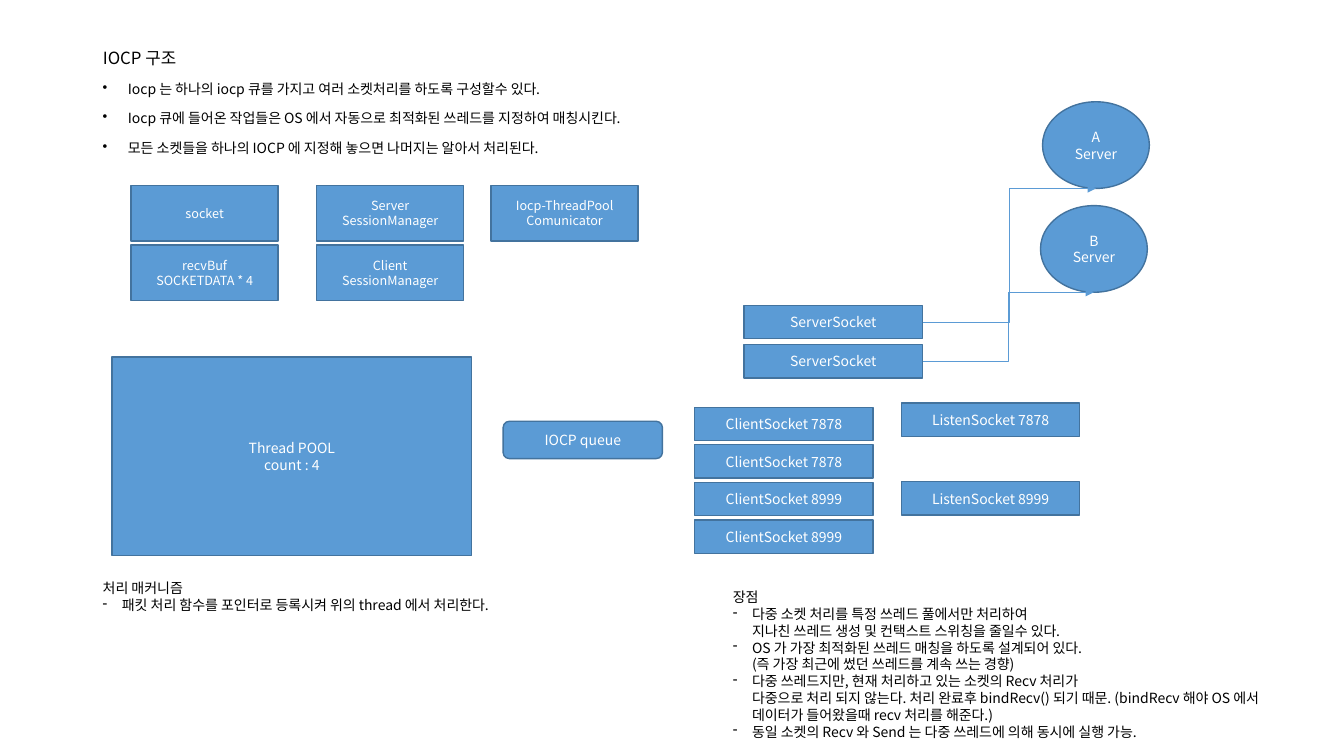
from pptx import Presentation
from pptx import util as u
from pptx.dml.color import RGBColor
from pptx.enum import shapes, text
from pptx.oxml.ns import qn
from lxml import etree

FONT = "Noto Sans CJK KR"
BLUE = RGBColor(0x5B, 0x9B, 0xD5)
BORDER = RGBColor(0x43, 0x73, 0x9E)
WHITE = RGBColor(0xFF, 0xFF, 0xFF)
BLACK = RGBColor(0, 0, 0)
RECT = shapes.MSO_SHAPE.RECTANGLE
OVAL = shapes.MSO_SHAPE.OVAL
ROUNDED = shapes.MSO_SHAPE.ROUNDED_RECTANGLE
RIGHT_SITE, OVAL_LEFT_SITE = 3, 2

SUMMARY = [
    "Iocp 는 하나의 iocp 큐를 가지고 여러 소켓처리를 하도록 구성할수 있다.",
    "Iocp 큐에 들어온 작업들은 OS 에서 자동으로 최적화된 쓰레드를 지정하여 매칭시킨다.",
    "모든 소켓들을 하나의 IOCP 에 지정해 놓으면 나머지는 알아서 처리된다.",
]
ADVANTAGES = [
    "다중 소켓 처리를 특정 쓰레드 풀에서만 처리하여\v지나친 쓰레드 생성 및 컨택스트 스위칭을 줄일수 있다.",
    "OS 가 가장 최적화된 쓰레드 매칭을 하도록 설계되어 있다. \v(즉 가장 최근에 썼던 쓰레드를 계속 쓰는 경향)",
    "다중 쓰레드지만, 현재 처리하고 있는 소켓의 Recv 처리가\v다중으로 처리 되지 않는다. 처리 완료후 bindRecv() 되기 때문. "
    "(bindRecv 해야 OS 에서 데이터가 들어왔을때 recv 처리를 해준다.)",
    "동일 소켓의 Recv 와 Send 는 다중 쓰레드에 의해 동시에 실행 가능.",
]
MECHANISM = ["패킷 처리 함수를 포인터로 등록시켜 위의 thread 에서 처리한다."]
MODULES = [
    (1.3, ["socket", "recvBuf\vSOCKETDATA * 4"]),
    (3.14, ["Server\vSessionManager", "Client\vSessionManager"]),
    (4.87, ["Iocp-ThreadPool\vComunicator"]),
]


def inches(*lengths):
    return [u.Inches(length) for length in lengths]


def style(para, size, color):
    para.font.name = FONT
    para.font.size = u.Pt(size)
    para.font.color.rgb = color
    latin = para.font._element.find(qn("a:latin"))
    east_asian = etree.Element(qn("a:ea"), typeface=FONT)
    latin.addnext(east_asian)


def add_bullet(para, mark, indent):
    properties = para._p.get_or_add_pPr()
    properties.set("marL", str(u.Inches(indent)))
    properties.set("indent", str(-u.Inches(indent)))
    bullet = etree.Element(qn("a:buChar"), char=mark)
    properties.find(qn("a:defRPr")).addprevious(bullet)


def add_title(page, wording):
    title = page.shapes.title
    title.left, title.top, title.width, title.height = inches(0.92, 0.4, 11.5, 0.37)
    title.text_frame.text = wording
    title.text_frame.vertical_anchor = text.MSO_ANCHOR.MIDDLE
    para = title.text_frame.paragraphs[0]
    para.alignment = text.PP_ALIGN.LEFT
    para.line_spacing = 0.9
    style(para, 12, BLACK)


def add_list(page, place, items, mark, indent, heading=None, line_spacing=None, space_before=None):
    frame = page.shapes.add_textbox(*inches(*place)).text_frame
    frame.word_wrap = True
    lines = [heading] + items if heading else items
    for number, line in enumerate(lines):
        para = frame.add_paragraph() if number else frame.paragraphs[0]
        para.text = line
        if line_spacing:
            para.line_spacing = line_spacing
        if space_before:
            para.space_before = u.Pt(space_before)
        style(para, 10, BLACK)
        if line != heading:
            add_bullet(para, mark, indent)


def add_node(page, kind, place, label, size=10):
    node = page.shapes.add_shape(kind, *inches(*place))
    node.shadow.inherit = False
    node.fill.solid()
    node.fill.fore_color.rgb = BLUE
    node.line.color.rgb = BORDER
    node.line.width = u.Pt(1)
    frame = node.text_frame
    frame.text = label
    frame.vertical_anchor = text.MSO_ANCHOR.MIDDLE
    para = frame.paragraphs[0]
    para.alignment = text.PP_ALIGN.CENTER
    style(para, size, WHITE)
    return node


def add_socket(page, left, top, label):
    return add_node(page, RECT, (left, top, 1.77, 0.33), label)


def add_arrow(page, socket, server):
    arrow = page.shapes.add_connector(shapes.MSO_CONNECTOR.ELBOW, 0, 0, 0, 0)
    arrow.begin_connect(socket, RIGHT_SITE)
    arrow.end_connect(server, OVAL_LEFT_SITE)
    arrow.line.color.rgb = BLUE
    arrow.line.width = u.Pt(0.5)
    etree.SubElement(arrow.line._get_or_add_ln(), qn("a:tailEnd"), type="triangle")
    etree.SubElement(arrow._element.spPr, qn("a:effectLst"))


def main():
    deck = Presentation()
    deck.slide_width, deck.slide_height = inches(13.33, 7.5)
    page = deck.slides.add_slide(deck.slide_layouts.get_by_name("Title Only"))

    add_title(page, "IOCP 구조")
    add_list(page, (0.92, 0.77, 11.5, 0.95), SUMMARY, "•", 0.25, line_spacing=0.9, space_before=10)

    for left, labels in MODULES:
        for row, label in enumerate(labels):
            add_node(page, RECT, (left, 1.84 + 0.59 * row, 1.46, 0.55), label, 9)

    add_node(page, RECT, (1.11, 3.54, 3.57, 1.97), "Thread POOL\vcount : 4")
    add_node(page, ROUNDED, (4.99, 4.18, 1.58, 0.37), "IOCP queue")

    for row, port in enumerate([7878, 7878, 8999, 8999]):
        add_socket(page, 6.89, 4.04 + 0.373 * row, f"ClientSocket {port}")
    for row, port in enumerate([7878, 8999]):
        add_socket(page, 8.94, 4 + 0.78 * row, f"ListenSocket {port}")

    for row, (name, left, top) in enumerate([("A", 10.34, 1.01), ("B", 10.32, 2.04)]):
        server = add_node(page, OVAL, (left, top, 1.06, 0.86), f"{name}\vServer")
        socket = add_socket(page, 7.38, 3.03 + 0.39 * row, "ServerSocket")
        add_arrow(page, socket, server)

    add_list(page, (7.17, 5.79, 5.59, 1.62), ADVANTAGES, "-", 0.19, heading="장점")
    add_list(page, (0.92, 5.7, 5.59, 0.44), MECHANISM, "-", 0.19, heading="처리 매커니즘")
    deck.save("out.pptx")


if __name__ == "__main__":
    main()
